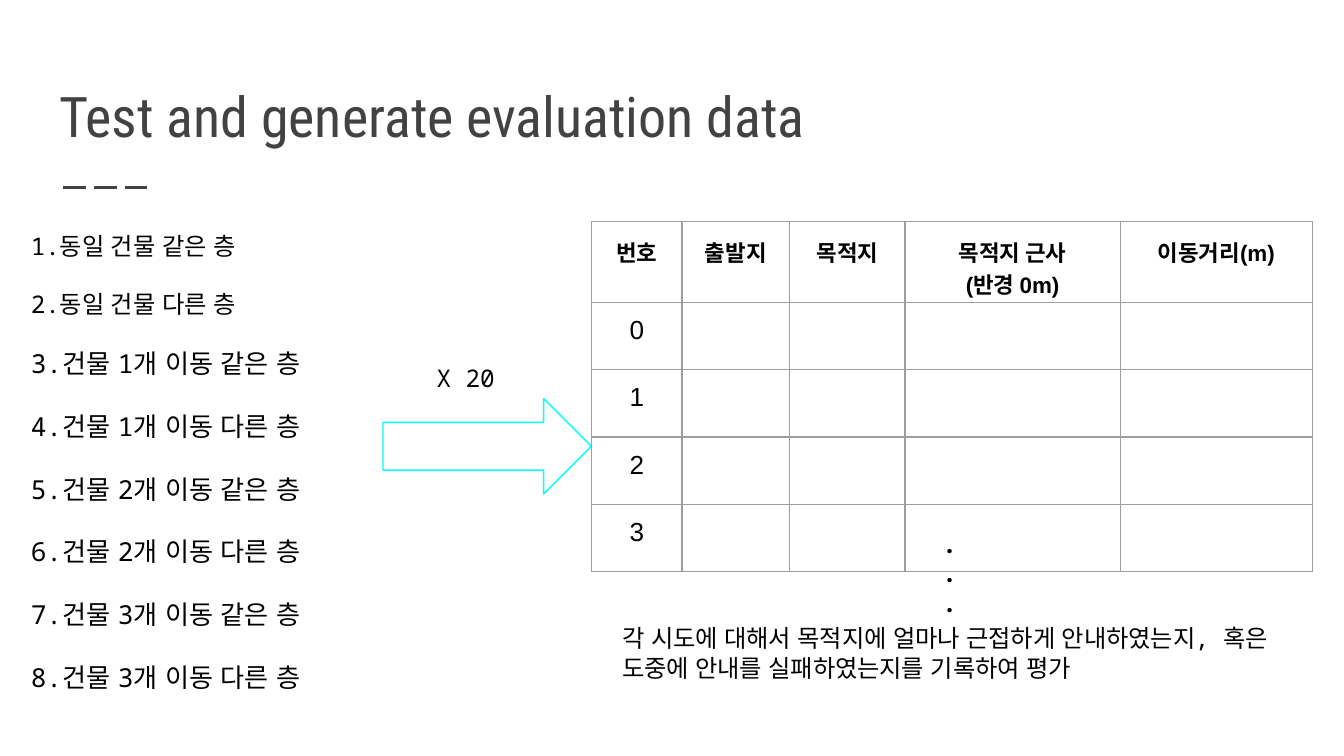
from lxml.etree import SubElement
from pptx import Presentation
from pptx.dml.color import RGBColor
from pptx.enum.dml import MSO_LINE
from pptx.enum.shapes import MSO_CONNECTOR, MSO_SHAPE
from pptx.enum.text import MSO_ANCHOR, MSO_AUTO_SIZE, PP_ALIGN
from pptx.oxml import parse_xml
from pptx.oxml.ns import nsdecls, qn
from pptx.util import Pt

MONO = "Noto Sans Mono"
ROUTES = [
    ("1.동일 건물 같은 층", 13),
    ("2.동일 건물 다른 층", 13),
    ("3.건물 1개 이동 같은 층", 14),
    ("4.건물 1개 이동 다른 층", 14),
    ("5.건물 2개 이동 같은 층", 14),
    ("6.건물 2개 이동 다른 층", 14),
    ("7.건물 3개 이동 같은 층", 14),
    ("8.건물 3개 이동 다른 층", 14),
]
HEADERS = ["번호", "출발지", "목적지", "목적지 근사\n(반경 0m)", "이동거리(m)"]
COLUMN_WIDTHS = [48.4, 57.6, 61.9, 115.2, 103]
TRIALS = ["0", "1", "2", "3"]
CAPTION = "각 시도에 대해서 목적지에 얼마나 근접하게 안내하였는지, 혹은 도중에 안내를 실패하였는지를 기록하여 평가"


def color(value):
    """Turn a hex string into a colour."""
    return RGBColor.from_string(value)


def format_paragraph(paragraph, size, font=MONO, fill="000000", bold=False, align=PP_ALIGN.LEFT):
    """Set alignment and font of a paragraph, pairing the mono font with Arial for Korean."""
    paragraph.alignment = align
    paragraph.font.size = Pt(size)
    paragraph.font.name = font
    paragraph.font.bold = bold
    paragraph.font.color.rgb = color(fill)
    if font == MONO:
        properties = paragraph._p.pPr.find(qn("a:defRPr"))
        SubElement(properties, qn("a:ea")).set("typeface", "Arial")


def set_margins(frame):
    """Give a text frame or cell equal margins."""
    frame.margin_left = frame.margin_right = Pt(7.2)
    frame.margin_top = frame.margin_bottom = Pt(7.2)


def add_text(slide, left, top, width, height, lines, size=13, **style):
    """Add a wrapping text box with one paragraph per line."""
    box = slide.shapes.add_textbox(Pt(left), Pt(top), Pt(width), Pt(height))
    frame = box.text_frame
    frame.word_wrap = True
    set_margins(frame)
    frame.text = "\n".join(lines)
    for paragraph in frame.paragraphs:
        format_paragraph(paragraph, size, **style)
    return frame


def add_title(slide, left, top, width, height):
    """Place the title and the dashed rule below it."""
    title = slide.shapes.title
    title.left, title.top, title.width, title.height = Pt(left), Pt(top), Pt(width), Pt(height)
    frame = title.text_frame
    frame.text = "Test and generate evaluation data"
    frame.auto_size = MSO_AUTO_SIZE.NONE
    frame.vertical_anchor = MSO_ANCHOR.BOTTOM
    set_margins(frame)
    format_paragraph(frame.paragraphs[0], 30, "Roboto Condensed", "424242")

    rule_left, rule_top = left + 9.4, top + height + 13.3
    rule = slide.shapes.add_connector(
        MSO_CONNECTOR.STRAIGHT, Pt(rule_left), Pt(rule_top), Pt(rule_left + 48), Pt(rule_top)
    )
    rule.line.color.rgb = color("424242")
    rule.line.width = Pt(1.5)
    rule.line.dash_style = MSO_LINE.LONG_DASH
    SubElement(rule._element.spPr, qn("a:effectLst"))


def add_routes(slide, left, top, width, height):
    """List the routes with a gap of one line between them."""
    frame = add_text(slide, left, top, width, height, [text for text, _ in ROUTES])
    for paragraph, (_, size) in zip(frame.paragraphs, ROUTES):
        paragraph.font.size = Pt(size)
        paragraph.space_after = Pt(size * 1.2)


def add_repeat_arrow(slide, left, top, width, height):
    """Draw the outlined arrow with its repeat count above."""
    arrow = slide.shapes.add_shape(
        MSO_SHAPE.RIGHT_ARROW, Pt(left), Pt(top), Pt(width), Pt(height)
    )
    arrow.shadow.inherit = False
    arrow.fill.background()
    arrow.line.color.rgb = color("00FFFF")
    arrow.line.width = Pt(0.75)
    add_text(slide, left + 21.6, top - 26, 52.6, 30, ["X 20"])


def set_borders(cell):
    """Draw a thin grey line on every side of a cell."""
    properties = cell._tc.get_or_add_tcPr()
    for index, side in enumerate(["lnL", "lnR", "lnT", "lnB"]):
        border = parse_xml(
            f'<a:{side} {nsdecls("a")} w="{Pt(0.75)}"><a:solidFill>'
            f'<a:srgbClr val="9E9E9E"/></a:solidFill></a:{side}>'
        )
        properties.insert(index, border)


def add_results_table(slide, left, top, width, height):
    """Build the table of trials, with only the header and numbers filled in."""
    rows = [HEADERS] + [[trial] + [""] * (len(HEADERS) - 1) for trial in TRIALS]
    frame = slide.shapes.add_table(
        len(rows), len(HEADERS), Pt(left), Pt(top), Pt(width), Pt(height)
    )
    table = frame.table
    table.first_row = table.horz_banding = False
    for column, column_width in zip(table.columns, COLUMN_WIDTHS):
        column.width = Pt(column_width)
    for row_index, texts in enumerate(rows):
        is_header = row_index == 0
        table.rows[row_index].height = Pt(42.8 if is_header else 36)
        for column_index, text in enumerate(texts):
            cell = table.cell(row_index, column_index)
            cell.fill.background()
            set_margins(cell)
            set_borders(cell)
            if text:
                cell.text = text
                for paragraph in cell.text_frame.paragraphs:
                    format_paragraph(
                        paragraph, 12 if is_header else 14, "Arial",
                        bold=is_header, align=PP_ALIGN.CENTER,
                    )


def main():
    """Build and save the slide."""
    presentation = Presentation()
    presentation.slide_width, presentation.slide_height = Pt(720), Pt(405)
    slide = presentation.slides.add_slide(presentation.slide_layouts[5])
    add_title(slide, 24.5, 29.5, 671, 57.6)
    add_routes(slide, 9.4, 116.6, 195.8, 264.2)
    add_repeat_arrow(slide, 205.2, 213.5, 111.6, 51.1)
    add_text(slide, 326.2, 326.9, 383, 46.1, [CAPTION])
    add_results_table(slide, 317, 118.8, sum(COLUMN_WIDTHS), 186.8)
    add_text(slide, 481, 276.5, 55.4, 61.9, [".", ".", "."], bold=True, align=PP_ALIGN.CENTER)
    presentation.save("out.pptx")


if __name__ == "__main__":
    main()
